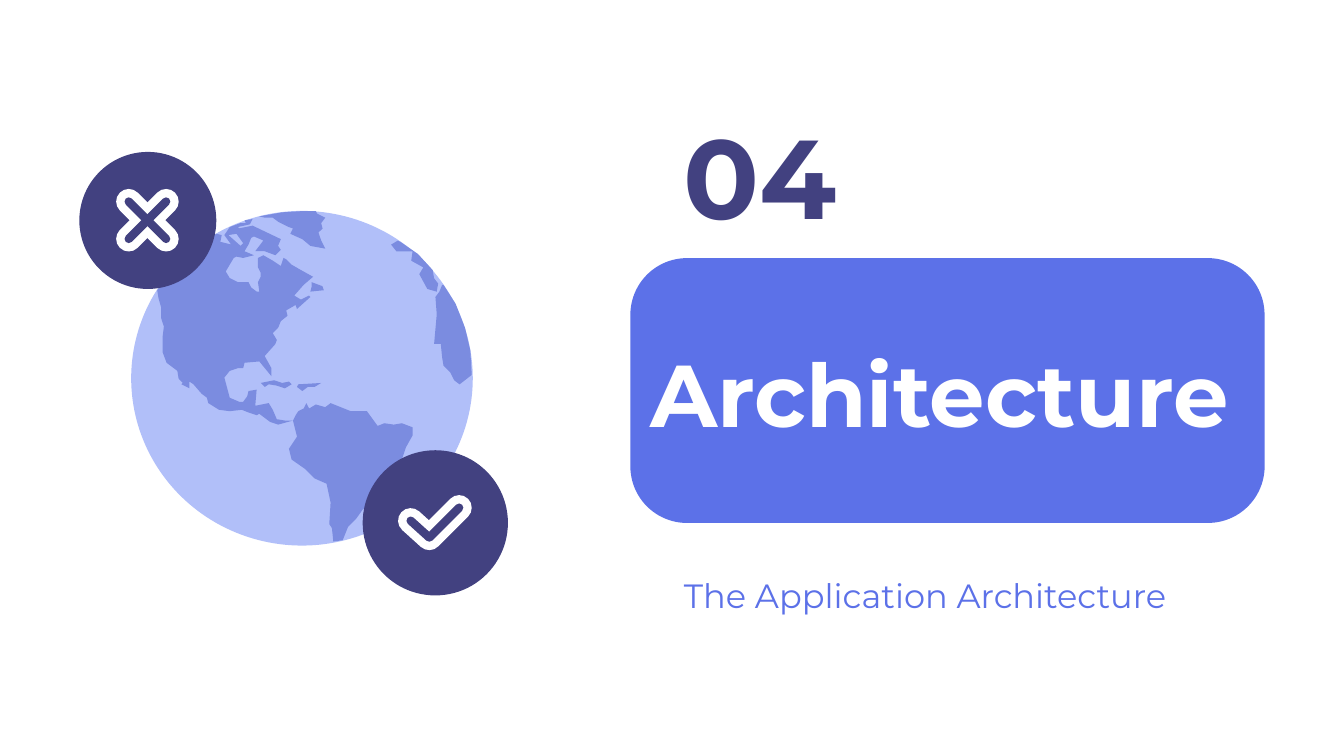
import pptx
import pptx.util
import pptx.dml.color
import pptx.enum.shapes
import pptx.enum.text
import lxml.etree

Pt = pptx.util.Pt
MSO = pptx.enum.shapes.MSO_SHAPE
COLORS = {"blue": "5C71E8", "navy": "424180", "sea": "B1BFF9", "land": "7B8CE0", "white": "FFFFFF"}
RGB = {name: pptx.dml.color.RGBColor.from_string(value) for name, value in COLORS.items()}
MAP_UNIT = Pt(0.72)  # land outlines are in hundredths of an inch

prs = pptx.Presentation()
prs.slide_width, prs.slide_height = Pt(720), Pt(405)
shapes = prs.slides.add_slide(prs.slide_layouts[6]).shapes


def add_filled(kind, left, top, width, height, color):
    sp = shapes.add_shape(kind, Pt(left), Pt(top), Pt(width), Pt(height))
    sp.shadow.inherit = False
    sp.fill.solid()
    sp.fill.fore_color.rgb = RGB[color]
    sp.line.fill.background()
    return sp


def add_stroke(points, weight, color):
    """Draw an open line with round ends and corners."""
    fb = shapes.build_freeform(*points[0], scale=Pt(1))
    fb.add_line_segments(points[1:], close=False)
    sp = fb.convert_to_shape()
    sp.shadow.inherit = False
    sp.fill.background()
    sp.line.width = Pt(weight)
    sp.line.color.rgb = RGB[color]
    ln = sp.line._get_or_add_ln()
    ln.set("cap", "rnd")
    lxml.etree.SubElement(ln, pptx.oxml.ns.qn("a:round"))


# Title panel and texts
panel = add_filled(MSO.ROUNDED_RECTANGLE, 337.7, 138.3, 339.8, 141.9, "blue")
panel.adjustments[0] = 0.214

texts = [
    ("Architecture", 341.3, 126.7, 324.7, 167, 47, "white", True),
    ("04", 359.3, 67, 98, 53.3, 60, "navy", True),
    ("The Application Architecture", 359.3, 299.5, 288.7, 38.9, 18, "blue", False),
]
for text, left, top, width, height, size, color, bold in texts:
    tf = shapes.add_textbox(Pt(left), Pt(top), Pt(width), Pt(height)).text_frame
    tf.word_wrap = True
    tf.vertical_anchor = pptx.enum.text.MSO_ANCHOR.MIDDLE
    tf.margin_left = tf.margin_right = tf.margin_top = tf.margin_bottom = Pt(7.2)
    tf.text = text
    font = tf.paragraphs[0].runs[0].font
    font.name, font.size, font.bold = "Montserrat", Pt(size), bold
    font.color.rgb = RGB[color]

# Globe
add_filled(MSO.OVAL, 70.3, 113, 183, 179.3, "sea")

north_america = [
    (188, 163), (182, 164), (183, 166), (179, 166), (171, 169), (167, 175), (172, 182), (164, 180),
    (165, 175), (161, 174), (150, 182), (153, 182), (151, 185), (146, 184), (131, 198), (117, 216),
    (118, 222), (120, 229), (120, 237), (122, 243), (121, 251), (121, 262), (124, 270), (132, 276),
    (133, 282), (136, 285), (135, 286), (141, 289), (141, 284), (144, 286), (150, 293), (154, 296),
    (155, 300), (163, 305), (171, 306), (180, 305), (185, 307), (191, 309), (193, 308), (201, 314),
    (207, 316), (218, 313), (212, 313), (206, 312), (203, 305), (200, 300), (190, 302), (191, 290),
    (185, 291), (184, 295), (181, 299), (178, 299), (171, 296), (167, 281), (171, 276), (177, 274),
    (181, 274), (182, 270), (193, 269), (202, 280), (202, 274), (197, 265), (205, 256), (206, 253),
    (203, 248), (207, 244), (209, 239), (214, 235), (213, 231), (220, 227), (221, 230), (231, 221),
    (230, 220), (224, 223), (219, 220), (226, 212), (233, 206), (224, 201), (217, 197), (213, 193),
    (211, 192), (209, 198), (203, 194), (196, 190), (192, 192), (192, 199), (194, 203), (194, 206),
    (192, 210), (193, 217), (191, 217), (187, 214), (185, 210), (177, 210), (171, 207), (168, 202),
    (174, 192), (176, 191), (181, 192), (189, 190), (182, 187), (185, 182), (187, 177), (189, 176),
    (196, 179), (190, 187), (197, 187), (205, 190), (209, 186), (207, 183), (209, 178), (188, 168),
    (178, 170), (177, 169), (186, 167)]
arctic_strait = [(176, 174), (181, 181), (179, 183), (170, 175)]
south_america = [
    (246, 300), (242, 303), (235, 301), (230, 304), (228, 300), (226, 304), (222, 306), (220, 309),
    (218, 313), (221, 325), (215, 334), (217, 342), (227, 349), (234, 356), (243, 360), (246, 374),
    (245, 390), (247, 393), (248, 403), (255, 402), (259, 392), (265, 386), (270, 379), (278, 373),
    (282, 363), (289, 356), (295, 352), (298, 345), (302, 333), (307, 324), (307, 318), (299, 315),
    (293, 316), (286, 315), (281, 317), (273, 306), (261, 306)]
west_africa = [
    (330, 212), (329, 212), (327, 217), (324, 221), (325, 234), (324, 245), (323, 256), (328, 256),
    (329, 266), (330, 272), (335, 277), (338, 283), (342, 286), (351, 279), (350, 261), (346, 244),
    (339, 226)]
cuba = [
    (204, 283), (194, 285), (197, 288), (200, 286), (206, 287), (212, 289), (217, 286), (215, 284),
    (210, 285)]
hispaniola = [(239, 285), (222, 286), (221, 288), (225, 291), (229, 288), (234, 288)]
greenland = [
    (226, 157), (210, 158), (193, 161), (197, 162), (203, 162), (207, 165), (215, 169), (218, 170),
    (216, 174), (225, 178), (231, 183), (242, 185), (239, 179), (237, 173), (240, 170), (239, 166),
    (242, 162), (236, 159), (235, 157)]
iberia = [
    (296, 179), (291, 182), (295, 187), (307, 187), (306, 194), (315, 199), (312, 204), (318, 215),
    (325, 217), (326, 211), (323, 207), (322, 201), (311, 189), (298, 180)]
newfoundland = [(232, 210), (232, 213), (231, 217), (241, 216), (240, 213)]

lands = [[north_america, arctic_strait], [south_america], [west_africa], [cuba], [hispaniola],
         [greenland], [iberia], [newfoundland]]
for outline, *holes in lands:
    fb = shapes.build_freeform(*outline[0], scale=MAP_UNIT)
    fb.add_line_segments(outline[1:], close=True)
    for hole in holes:
        fb.move_to(*hole[0])
        fb.add_line_segments(hole[1:], close=True)
    sp = fb.convert_to_shape()
    sp.shadow.inherit = False
    sp.fill.solid()
    sp.fill.fore_color.rgb = RGB["land"]
    sp.line.fill.background()

# Badges: each mark is a wide white line with a thin navy core
check = [(220.3, 278.6), (229.7, 287.8), (245.5, 272)]
cross = [[(69.2, 108), (89.4, 128.2)], [(89.4, 108), (69.2, 128.2)]]
badges = [(194.3, 241.2, 77.8, [check]), (42.5, 81.4, 73.4, cross)]
for left, top, size, strokes in badges:
    add_filled(MSO.OVAL, left, top, size, size, "navy")
    for weight, color in [(13.5, "white"), (4.5, "navy")]:
        for points in strokes:
            add_stroke(points, weight, color)

prs.save("out.pptx")
